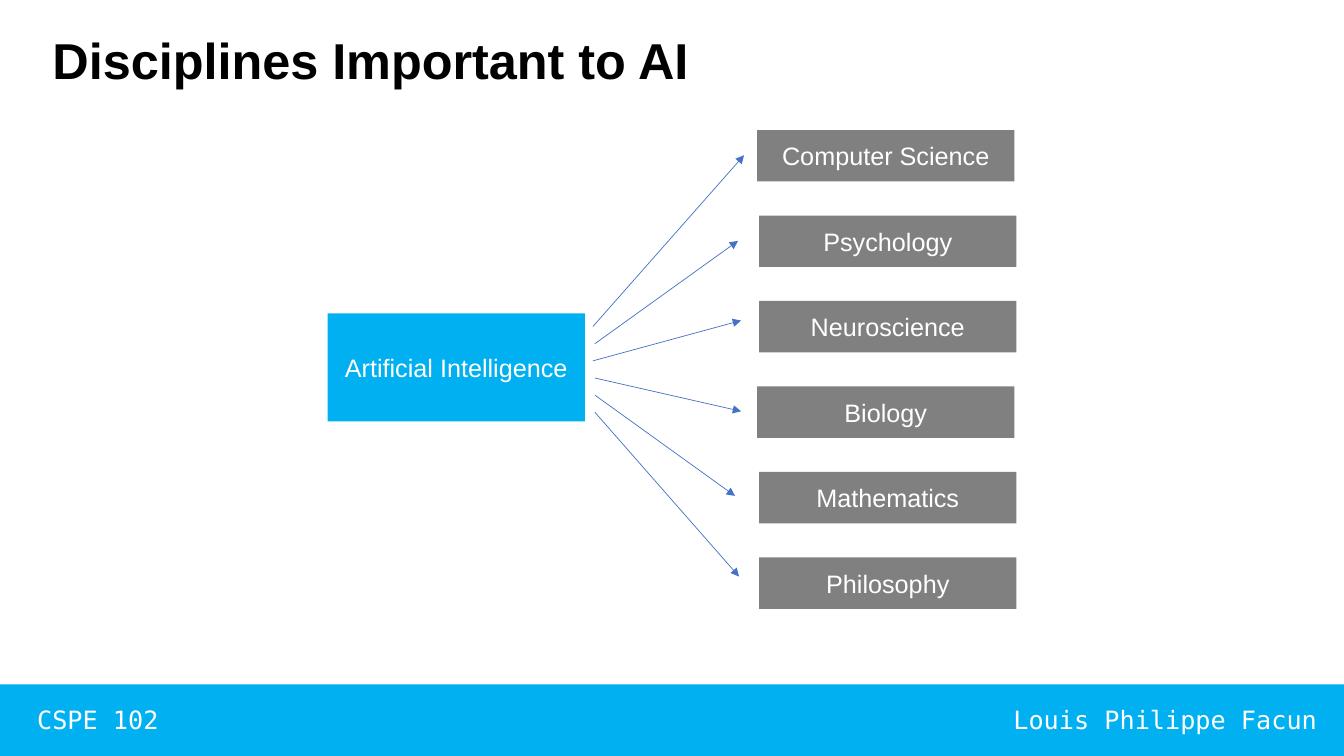
from lxml import etree
from pptx import Presentation
from pptx.dml.color import RGBColor
from pptx.enum.shapes import MSO_CONNECTOR, MSO_SHAPE
from pptx.enum.text import MSO_ANCHOR, MSO_AUTO_SIZE, PP_ALIGN
from pptx.oxml.ns import qn
from pptx.util import Inches, Pt

RECTANGLE = MSO_SHAPE.RECTANGLE
STRAIGHT = MSO_CONNECTOR.STRAIGHT
MIDDLE, TOP = MSO_ANCHOR.MIDDLE, MSO_ANCHOR.TOP
NO_AUTOFIT = MSO_AUTO_SIZE.NONE
LEFT, CENTER, RIGHT = PP_ALIGN.LEFT, PP_ALIGN.CENTER, PP_ALIGN.RIGHT

BLACK = RGBColor(0x00, 0x00, 0x00)
WHITE = RGBColor(0xFF, 0xFF, 0xFF)
SKY = RGBColor(0x00, 0xB0, 0xF0)
GRAY = RGBColor(0x80, 0x80, 0x80)
ARROW_BLUE = RGBColor(0x44, 0x72, 0xC4)

SANS, MONO = "Arial", "DejaVu Sans Mono"
SLIDE_WIDTH, SLIDE_HEIGHT = 13.33, 7.5
NODE_WIDTH, TOPIC_HEIGHT, DISCIPLINE_HEIGHT = 2.55, 1.07, 0.51

# Each row: name, indent of its box, arrow start x, arrow tip x, arrow tip y
DISCIPLINES = [
    ("Computer Science", 0, 2.63, 4.13, 0.25),
    ("Psychology", 0.02, 2.65, 4.07, 1.1),
    ("Neuroscience", 0.02, 2.63, 4.1, 1.89),
    ("Biology", 0, 2.65, 4.1, 2.79),
    ("Mathematics", 0.02, 2.65, 4.04, 3.63),
    ("Philosophy", 0.02, 2.65, 4.08, 4.43),
]


def write_text(shape, text, font_name, size, color, alignment, anchor, bold=False):
    """Put one formatted line of text into a shape."""
    frame = shape.text_frame
    frame.text = text
    frame.word_wrap = True
    frame.auto_size = NO_AUTOFIT
    frame.vertical_anchor = anchor
    paragraph = frame.paragraphs[0]
    paragraph.alignment = alignment
    font = paragraph.runs[0].font
    font.name, font.size, font.bold = font_name, Pt(size), bold
    font.color.rgb = color


def add_rectangle(slide, box, color):
    """Add a flat filled rectangle without outline."""
    shape = slide.shapes.add_shape(RECTANGLE, *map(Inches, box))
    shape.shadow.inherit = False
    shape.fill.solid()
    shape.fill.fore_color.rgb = color
    shape.line.fill.background()
    return shape


def add_node(slide, box, text, color):
    """Add a labelled box of the diagram."""
    node = add_rectangle(slide, box, color)
    write_text(node, text, SANS, 18, WHITE, CENTER, MIDDLE)


def add_arrow(slide, start, end):
    """Add a thin arrow that points at its end."""
    arrow = slide.shapes.add_connector(STRAIGHT, *map(Inches, start + end))
    arrow.line.color.rgb = ARROW_BLUE
    arrow.line.width = Pt(0.5)
    etree.SubElement(arrow.line._get_or_add_ln(), qn("a:tailEnd"), type="triangle")
    etree.SubElement(arrow._element.spPr, qn("a:effectLst"))


def add_title(slide, box):
    """Place and format the title placeholder."""
    title = slide.shapes.title
    title.left, title.top, title.width, title.height = map(Inches, box)
    write_text(title, "Disciplines Important to AI", SANS, 36, BLACK, LEFT, MIDDLE, True)
    title.text_frame.paragraphs[0].line_spacing = 0.9


def add_footer(slide, box):
    """Add the footer band with the author and the course."""
    left, top, width, height = box
    add_rectangle(slide, box, SKY)
    label_width = 3.53
    labels = [
        ("Louis Philippe Facun", left + width - label_width - 0.17, RIGHT),
        ("CSPE 102", left + 0.27, LEFT),
    ]
    for text, label_left, alignment in labels:
        label_box = (label_left, top + 0.15, label_width, 0.4)
        label = slide.shapes.add_textbox(*map(Inches, label_box))
        write_text(label, text, MONO, 18, WHITE, alignment, TOP)


def add_diagram(slide, box):
    """Add the topic, its disciplines and the arrows between them."""
    left, top, width, height = box
    topic_top = top + 1.82
    add_node(slide, (left, topic_top, NODE_WIDTH, TOPIC_HEIGHT), "Artificial Intelligence", SKY)
    column_left = left + width - NODE_WIDTH - 0.02
    row_pitch = (height - DISCIPLINE_HEIGHT) / (len(DISCIPLINES) - 1)
    for row, (name, indent, start_x, tip_x, tip_y) in enumerate(DISCIPLINES):
        node_box = (column_left + indent, top + row * row_pitch, NODE_WIDTH, DISCIPLINE_HEIGHT)
        add_node(slide, node_box, name, GRAY)
        start = (left + start_x, topic_top + 0.13 + row * 0.17)
        add_arrow(slide, start, (left + tip_x, top + tip_y))


def main():
    """Build and save the slide."""
    presentation = Presentation()
    presentation.slide_width = Inches(SLIDE_WIDTH)
    presentation.slide_height = Inches(SLIDE_HEIGHT)
    slide = presentation.slides.add_slide(presentation.slide_layouts[5])
    add_title(slide, (0.42, 0.33, 12.53, 0.59))
    add_footer(slide, (0, 6.79, SLIDE_WIDTH, 0.71))
    add_diagram(slide, (3.25, 1.29, 6.83, 4.75))
    presentation.save("out.pptx")


if __name__ == "__main__":
    main()
